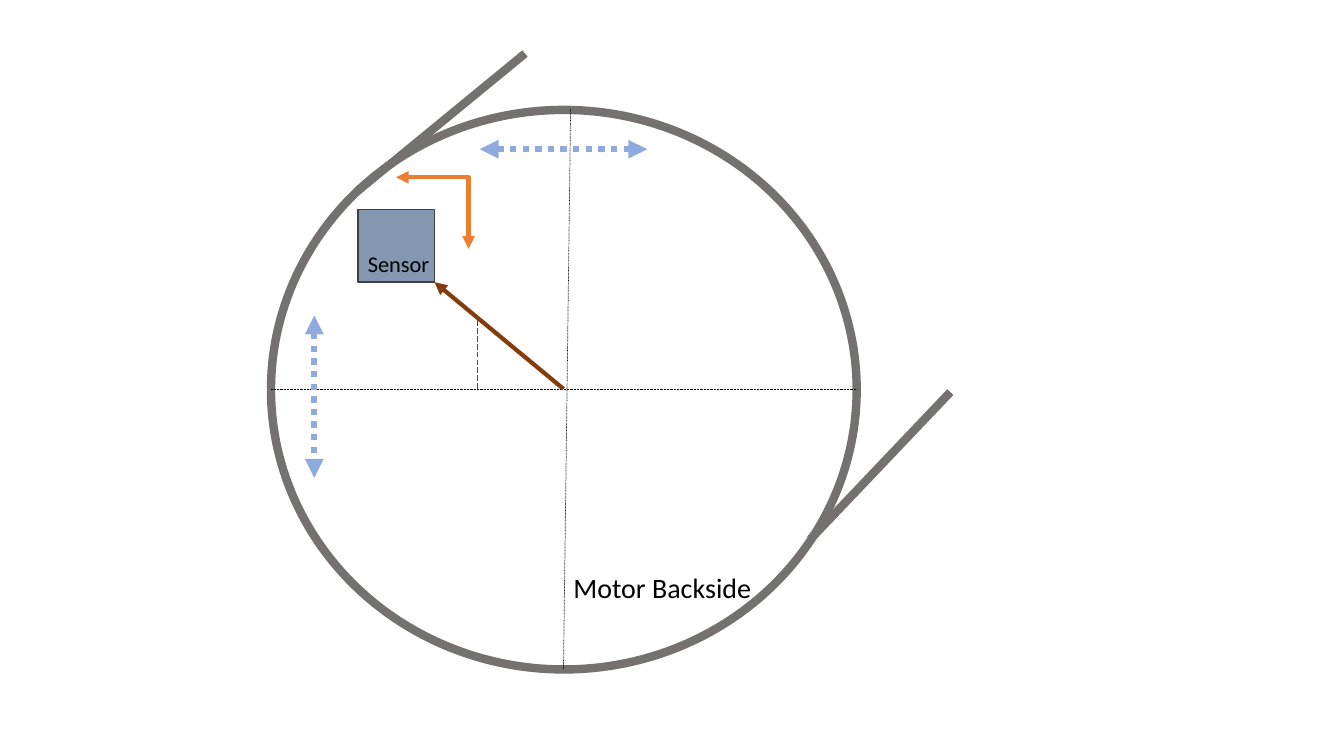
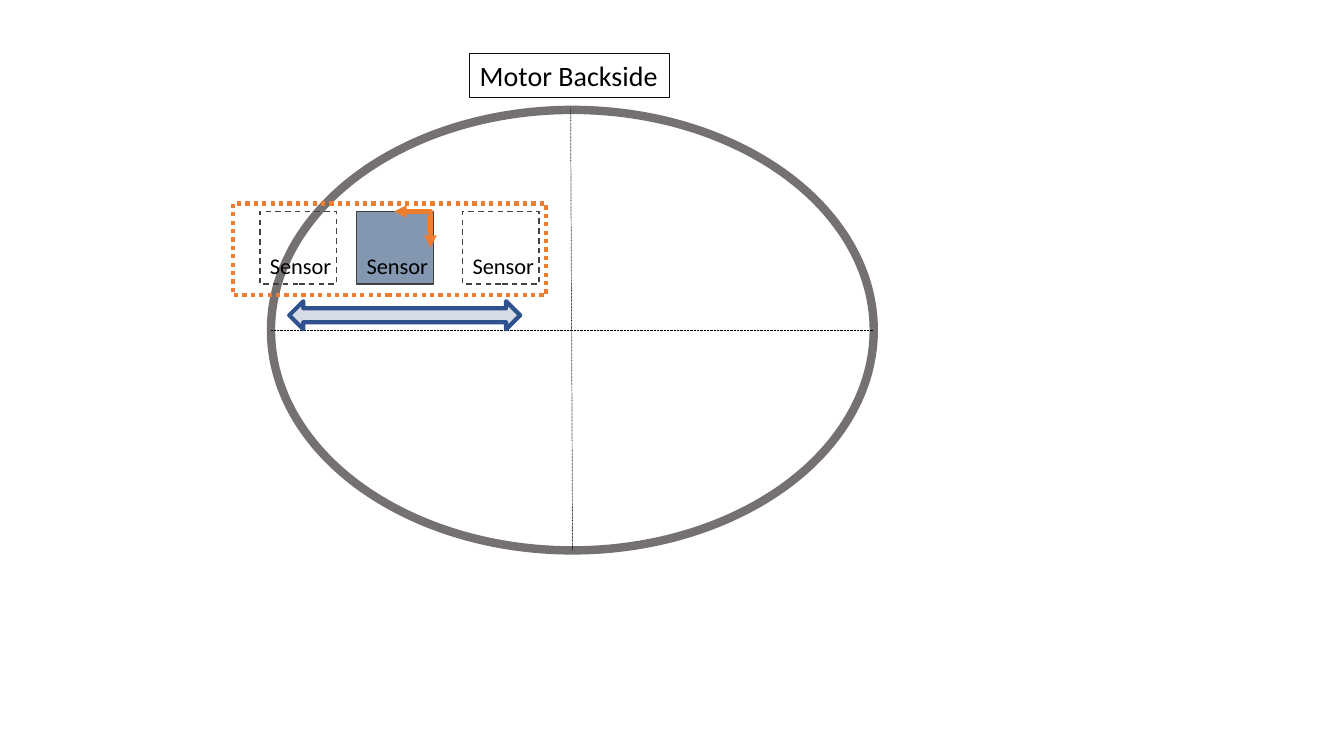
from dataclasses import dataclass
from typing import Optional

import pptx
import pptx.dml.color
import pptx.enum.dml
import pptx.enum.shapes
import pptx.enum.text
import pptx.oxml
import pptx.oxml.ns
import pptx.util

Cm, Pt = pptx.util.Cm, pptx.util.Pt
Dash = pptx.enum.dml.MSO_LINE
Shape = pptx.enum.shapes.MSO_SHAPE
Link = pptx.enum.shapes.MSO_CONNECTOR
Align = pptx.enum.text.PP_ALIGN


# Theme
@dataclass(frozen=True)
class Theme:
    font: str = "Calibri"
    label_size: float = 20
    sensor_size: float = 16
    text: str = "000000"
    motor: str = "767171"
    sensor: str = "8497B0"
    sensor_edge: str = "404040"
    orange: str = "ED7D31"
    motion: str = "8FAADC"
    axis: str = "000000"
    radius: str = "843C0C"
    label_edge: str = "0D0D0D"
    slider: str = "D6DCE5"
    slider_edge: str = "2F528F"


THEME = Theme()


@dataclass(frozen=True)
class Stroke:
    color: str
    width: float
    dash: Optional[Dash] = None
    head: bool = False
    tail: bool = False


@dataclass(frozen=True)
class Box:
    left: float
    top: float
    width: float
    height: float


@dataclass(frozen=True)
class Segment:
    x1: float
    y1: float
    x2: float
    y2: float
    stroke: Stroke
    kind: Link = Link.STRAIGHT


@dataclass(frozen=True)
class Sensor:
    left: float
    top: float
    active: bool = True


# Strokes used on both slides
MOTOR = Stroke(THEME.motor, 6)
AXIS = Stroke(THEME.axis, 0.5, Dash.ROUND_DOT)
AXES_ARROW = Stroke(THEME.orange, 3, head=True, tail=True)
MOTION = Stroke(THEME.motion, 4.5, Dash.ROUND_DOT, head=True, tail=True)

SENSOR_W, SENSOR_H = 1.93, 1.83
LABEL_W, LABEL_H = 5.03, 1.12


def rgb(color: str) -> pptx.dml.color.RGBColor:
    return pptx.dml.color.RGBColor.from_string(color)


def apply_stroke(line, stroke: Stroke) -> None:
    line.color.rgb = rgb(stroke.color)
    line.width = Pt(stroke.width)
    if stroke.dash is not None:
        line.dash_style = stroke.dash


def add_shape(slide, kind: Shape, box: Box, stroke: Stroke, fill: Optional[str] = None):
    s = slide.shapes.add_shape(kind, Cm(box.left), Cm(box.top), Cm(box.width), Cm(box.height))
    s.shadow.inherit = False
    if fill:
        s.fill.solid()
        s.fill.fore_color.rgb = rgb(fill)
    else:
        s.fill.background()
    apply_stroke(s.line, stroke)
    return s


def add_segment(slide, seg: Segment) -> None:
    c = slide.shapes.add_connector(seg.kind, Cm(seg.x1), Cm(seg.y1), Cm(seg.x2), Cm(seg.y2))
    apply_stroke(c.line, seg.stroke)
    props = c.element.spPr
    # A single-corner elbow
    if seg.kind == Link.ELBOW:
        props.find(pptx.oxml.ns.qn("a:prstGeom")).set("prst", "bentConnector2")
    # Arrowheads, and no shadow
    ln = props.find(pptx.oxml.ns.qn("a:ln"))
    for tag, shown in (("headEnd", seg.stroke.head), ("tailEnd", seg.stroke.tail)):
        if shown:
            ln.append(pptx.oxml.parse_xml(
                f'<a:{tag} {pptx.oxml.ns.nsdecls("a")} type="triangle"/>'))
    props.append(pptx.oxml.parse_xml(f'<a:effectLst {pptx.oxml.ns.nsdecls("a")}/>'))


def set_text(s, text: str, size: float, wrap: bool) -> None:
    tf = s.text_frame
    tf.text = text
    tf.word_wrap = wrap
    tf.auto_size = pptx.enum.text.MSO_AUTO_SIZE.SHAPE_TO_FIT_TEXT
    tf.vertical_anchor = pptx.enum.text.MSO_ANCHOR.TOP
    p = tf.paragraphs[0]
    p.alignment = Align.LEFT
    for r in p.runs:
        r.font.name = THEME.font
        r.font.size = Pt(size)
        r.font.color.rgb = rgb(THEME.text)


def add_label(slide, left: float, top: float, framed: bool) -> None:
    if framed:
        s = add_shape(slide, Shape.RECTANGLE, Box(left, top, LABEL_W, LABEL_H),
                      Stroke(THEME.label_edge, 0.75))
    else:
        s = slide.shapes.add_textbox(Cm(left), Cm(top), Cm(LABEL_W), Cm(LABEL_H))
    set_text(s, "Motor Backside", THEME.label_size, wrap=True)


def add_sensor(slide, sensor: Sensor) -> None:
    dash = None if sensor.active else Dash.DASH
    add_shape(slide, Shape.RECTANGLE, Box(sensor.left, sensor.top, SENSOR_W, SENSOR_H),
              Stroke(THEME.sensor_edge, 1, dash), THEME.sensor if sensor.active else None)
    s = slide.shapes.add_textbox(Cm(sensor.left), Cm(sensor.top + 0.89), Cm(2.08), Cm(0.94))
    set_text(s, "Sensor", THEME.sensor_size, wrap=False)


def add_motor(slide, box: Box, axis_y: float, axis_bottom: float) -> None:
    add_shape(slide, Shape.OVAL, box, MOTOR)
    add_segment(slide, Segment(box.left, axis_y, box.left + box.width, axis_y, AXIS))
    add_segment(slide, Segment(14.38, 2.74, axis_bottom, box.top + box.height, AXIS))


# Slide 1: sensor position on the round motor
def build_position(slide) -> None:
    add_motor(slide, Box(6.83, 2.77, 14.76, 14.1), 9.8, 14.2)
    add_sensor(slide, Sensor(9.02, 5.28))
    for seg in (
        Segment(9.98, 4.47, 11.81, 6.27, AXES_ARROW, Link.ELBOW),
        Segment(12.09, 3.76, 16.31, 3.76, MOTION),
        Segment(7.92, 7.95, 7.92, 12.04, MOTION),
        Segment(8.99, 4.83, 13.23, 1.35, MOTOR),
        Segment(20.42, 13.59, 23.95, 9.88, MOTOR),
        Segment(14.2, 9.8, 10.95, 7.11, Stroke(THEME.radius, 3, tail=True)),
        Segment(12.04, 9.8, 12.04, 8, Stroke(THEME.radius, 0.5, Dash.LONG_DASH)),
    ):
        add_segment(slide, seg)
    add_label(slide, 14.2, 14.25, framed=False)


# Slide 2: sensor sliding sideways
def build_travel(slide) -> None:
    add_motor(slide, Box(6.83, 2.77, 15.19, 11.1), 8.33, 14.43)
    add_label(slide, 11.84, 1.35, framed=True)
    for left, active in ((8.99, True), (6.55, False), (11.66, False)):
        add_sensor(slide, Sensor(left, 5.33, active))
    add_segment(slide, Segment(9.93, 5.33, 10.85, 6.25, AXES_ARROW, Link.ELBOW))
    add_shape(slide, Shape.LEFT_RIGHT_ARROW, Box(7.29, 7.59, 5.82, 0.71),
              Stroke(THEME.slider_edge, 3), THEME.slider)
    add_shape(slide, Shape.RECTANGLE, Box(5.87, 5.13, 7.9, 2.31),
              Stroke(THEME.orange, 3, Dash.ROUND_DOT))


def main() -> None:
    prs = pptx.Presentation()
    prs.slide_width, prs.slide_height = Cm(33.87), Cm(19.05)
    for build in (build_position, build_travel):
        build(prs.slides.add_slide(prs.slide_layouts[6]))
    prs.save("out.pptx")


if __name__ == "__main__":
    main()
